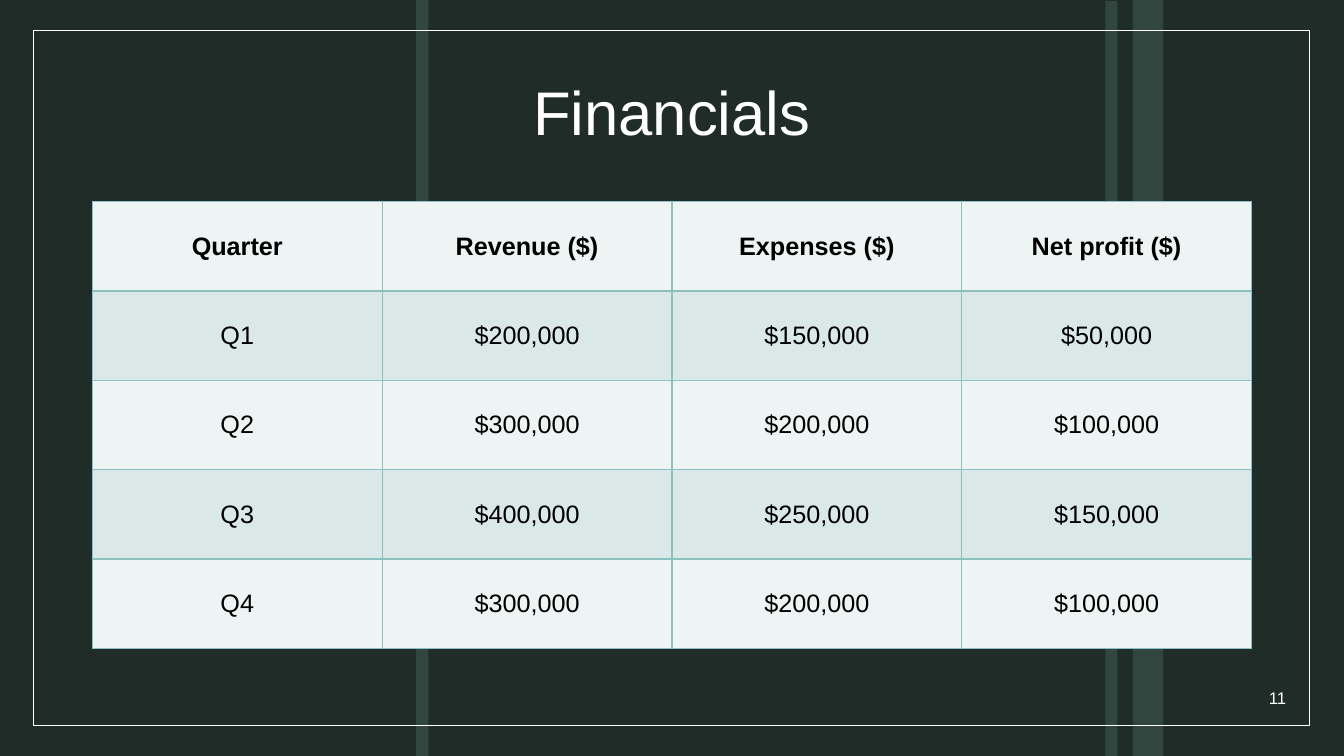
from dataclasses import dataclass

from lxml import etree
from pptx import Presentation
from pptx.dml.color import RGBColor
from pptx.enum.shapes import MSO_SHAPE
from pptx.enum.text import MSO_ANCHOR, PP_ALIGN
from pptx.oxml.ns import qn
from pptx.slide import Slide
from pptx.table import _Cell
from pptx.text.text import _Paragraph
from pptx.util import Pt

RECTANGLE = MSO_SHAPE.RECTANGLE
MIDDLE = MSO_ANCHOR.MIDDLE
CENTER, RIGHT = PP_ALIGN.CENTER, PP_ALIGN.RIGHT

FONT = "Arial"
BACKGROUND, STRIPE, WHITE, BLACK = "1F2C28", "31463F", "FFFFFF", "000000"
ROW_FILLS = ("EEF4F4", "DBE8E8")
BORDER = "8DC0C0"

TABLE_LEFT, TABLE_TOP = 66, 144
COLUMN_WIDTH, ROW_HEIGHT = 207, 63.85
FINANCIALS = [
    ("Quarter", "Revenue ($)", "Expenses ($)", "Net profit ($)"),
    ("Q1", "$200,000", "$150,000", "$50,000"),
    ("Q2", "$300,000", "$200,000", "$100,000"),
    ("Q3", "$400,000", "$250,000", "$150,000"),
    ("Q4", "$300,000", "$200,000", "$100,000"),
]


@dataclass
class Panel:
    left: float
    top: float
    width: float
    height: float
    fill: str | None = None
    line: str | None = None


@dataclass
class Label:
    text: str
    left: float
    top: float
    width: float
    height: float
    size: float
    align: PP_ALIGN
    spacing: float = 1.0


PANELS = [
    Panel(789.6, 0.9, 8.64, 539.1, fill=STRIPE),
    Panel(297.3, 0, 8.64, 540, fill=STRIPE),
    Panel(809.3, 0, 21.6, 540, fill=STRIPE),
    Panel(23.8, 21.6, 911.4, 496.8, line=WHITE),
]
LABELS = [
    Label("Financials", 30, 30, 900, 104.4, 44, CENTER, 0.9),
    Label("11", 859.7, 483.8, 66.2, 28.8, 12, RIGHT),
]


def color(value: str) -> RGBColor:
    return RGBColor.from_string(value)


def style(para: _Paragraph, size: float, ink: str, align: PP_ALIGN, bold: bool = False) -> None:
    para.alignment = align
    para.font.name = FONT
    para.font.size = Pt(size)
    para.font.bold = bold
    para.font.color.rgb = color(ink)


def draw_panel(page: Slide, panel: Panel) -> None:
    shape = page.shapes.add_shape(
        RECTANGLE, Pt(panel.left), Pt(panel.top), Pt(panel.width), Pt(panel.height))
    shape.shadow.inherit = False
    if panel.fill:
        shape.fill.solid()
        shape.fill.fore_color.rgb = color(panel.fill)
    else:
        shape.fill.background()
    if panel.line:
        shape.line.color.rgb = color(panel.line)
        shape.line.width = Pt(1)
    else:
        shape.line.fill.background()


def draw_label(page: Slide, label: Label) -> None:
    box = page.shapes.add_textbox(
        Pt(label.left), Pt(label.top), Pt(label.width), Pt(label.height))
    box.text_frame.word_wrap = True
    box.text_frame.vertical_anchor = MIDDLE
    para = box.text_frame.paragraphs[0]
    para.text = label.text
    para.line_spacing = label.spacing
    style(para, label.size, WHITE, label.align)


def add_borders(cell: _Cell) -> None:
    properties = cell._tc.get_or_add_tcPr()
    # Borders come before the fill in the cell properties
    for position, side in enumerate(("lnL", "lnR", "lnT", "lnB")):
        line = etree.Element(qn(f"a:{side}"), w=str(Pt(1)))
        fill = etree.SubElement(line, qn("a:solidFill"))
        etree.SubElement(fill, qn("a:srgbClr"), val=BORDER)
        properties.insert(position, line)


def draw_table(page: Slide) -> None:
    row_count, column_count = len(FINANCIALS), len(FINANCIALS[0])
    table = page.shapes.add_table(
        row_count, column_count, Pt(TABLE_LEFT), Pt(TABLE_TOP),
        Pt(COLUMN_WIDTH * column_count), Pt(ROW_HEIGHT * row_count)).table
    for column in table.columns:
        column.width = Pt(COLUMN_WIDTH)
    for row_index, values in enumerate(FINANCIALS):
        table.rows[row_index].height = Pt(ROW_HEIGHT)
        for column_index, value in enumerate(values):
            cell = table.cell(row_index, column_index)
            cell.text = value
            cell.vertical_anchor = MIDDLE
            cell.fill.solid()
            cell.fill.fore_color.rgb = color(ROW_FILLS[row_index % 2])
            style(cell.text_frame.paragraphs[0], 18, BLACK, CENTER, bold=row_index == 0)
            add_borders(cell)


def main() -> None:
    deck = Presentation()
    deck.slide_width, deck.slide_height = Pt(960), Pt(540)
    page = deck.slides.add_slide(deck.slide_layouts[6])
    page.background.fill.solid()
    page.background.fill.fore_color.rgb = color(BACKGROUND)

    # Stripes and frame
    for panel in PANELS:
        draw_panel(page, panel)

    # Quarterly figures
    draw_table(page)

    # Title and page number
    for label in LABELS:
        draw_label(page, label)

    deck.save("out.pptx")


if __name__ == "__main__":
    main()
